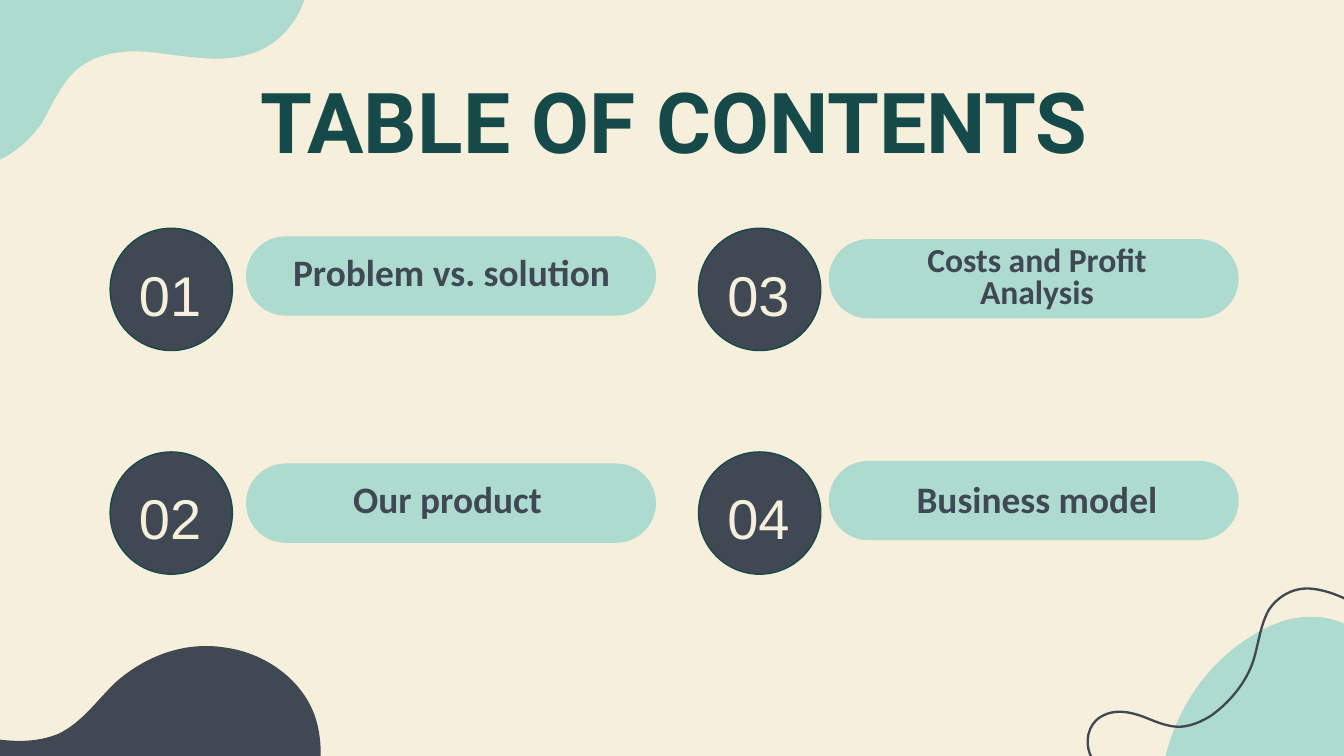
from pptx import Presentation
from pptx.dml.color import RGBColor
from pptx.enum.shapes import MSO_SHAPE
from pptx.enum.text import MSO_ANCHOR, PP_ALIGN
from pptx.oxml.ns import qn
from pptx.util import Pt

ROUNDED = MSO_SHAPE.ROUNDED_RECTANGLE
OVAL = MSO_SHAPE.OVAL
CENTER = PP_ALIGN.CENTER
TOP = MSO_ANCHOR.TOP
MIDDLE = MSO_ANCHOR.MIDDLE

CREAM, MINT, SLATE, TEAL = "F6EFDC", "ADDBD0", "3F4853", "164A4A"
CIRCLE_SIZE = 65.5
PILL_WIDTH, PILL_HEIGHT = 219.6, 42.5

TOP_LEFT_BLOB = [
    (218.9, 51.8), (218.2, 46.1), (216.7, 40.3), (213.8, 36),
    (190.8, 4.3), (146.2, 43.9), (119.5, 19.4), (107.3, 7.9), (103.7, 0), (83.5, 6.5),
    (67, 11.5), (53.3, 25.2), (50.4, 42.5), (49, 51.1), (50.4, 60.5), (49.7, 69.8),
    (49.7, 74.9), (49, 80.6), (46.1, 85), (37.4, 99.4), (17.3, 101.5), (8.6, 115.9),
    (0, 131.8), (13.7, 153.4), (31, 156.2), (49, 159.1), (66.2, 147.6), (76.3, 133.2),
    (82.1, 123.1), (86.4, 112.3), (95, 104.4), (106, 95), (121, 93.6), (135.4, 95),
    (137.5, 95), (139.7, 95.8), (141.8, 95.8), (158.4, 97.9), (175.7, 100.8), (190.8, 95),
    (208.1, 88.6), (220.3, 69.8), (218.9, 51.8),
]
BOTTOM_LEFT_BLOB = [
    (229.7, 75.6), (233.3, 62), (233.3, 48.2), (229, 36),
    (221.8, 16.6), (202.3, 2.9), (181.4, 0), (159.8, -3.6), (139, 4.3), (123.1, 18),
    (113, 27.4), (105.1, 39.6), (92.2, 46), (73.4, 54), (51.1, 48.2), (31.7, 43.2),
    (21.6, 40.3), (10, 38.2), (0, 38.2), (0, 75.6),
]
BOTTOM_RIGHT_BLOB = [
    (104.4, 78.5), (112.3, 68.4), (118, 57.6), (118.8, 47.5),
    (121, 22.3), (105, 0), (80, 0), (79, 0), (78.5, 0), (77.8, 0),
    (66, 0), (55, 5), (45, 11.5), (21.6, 26.6), (5.8, 51), (0, 78.5),
]
WAVY_LINE = [
    (150.5, 13.7), (140.4, 8), (131, 3.2), (120.2, 2.5),
    (111, 2.2), (103, 7.2), (98.5, 14.4), (94, 23), (93.2, 32.4), (90.5, 41),
    (86.8, 52.6), (78, 63.4), (67.9, 70.6), (63.4, 73.4), (58.3, 75.8), (52.6, 76.5),
    (46, 77.2), (38.9, 74.2), (33.1, 71.8), (24.5, 68.4), (14.4, 66.2), (6.5, 72.9),
    (0.5, 78.5), (0.5, 87.8), (4.3, 94), (6.5, 97.9), (10, 101.5), (13, 104.4),
    (17.3, 108.7), (20.9, 113.8), (23, 119.5), (25.2, 127.4), (25.2, 136), (23, 144),
]


def color(hex_string):
    return RGBColor.from_string(hex_string)


def paint(shape, fill=None, line=None, line_width=0.75):
    shape.shadow.inherit = False
    if fill:
        shape.fill.solid()
        shape.fill.fore_color.rgb = color(fill)
    else:
        shape.fill.background()
    if line:
        shape.line.color.rgb = color(line)
        shape.line.width = Pt(line_width)
    else:
        shape.line.fill.background()


def add_text(slide, text, left, top, width, height, *, size, font, hex_color,
             bold=False, anchor=MIDDLE, spacing=None, margin=0):
    frame = slide.shapes.add_textbox(Pt(left), Pt(top), Pt(width), Pt(height)).text_frame
    frame.word_wrap = True
    frame.vertical_anchor = anchor
    frame.margin_left = frame.margin_right = frame.margin_top = frame.margin_bottom = 0
    paragraph = frame.paragraphs[0]
    paragraph.alignment = CENTER
    if spacing:
        paragraph.line_spacing = spacing
    if margin:
        properties = paragraph._p.get_or_add_pPr()
        for side in ("marL", "marR"):
            properties.set(side, str(Pt(margin)))
    run = paragraph.add_run()
    run.text = text
    run.font.size = Pt(size)
    run.font.name = font
    run.font.bold = bold
    run.font.color.rgb = color(hex_color)


def bend_segments(shape):
    segments = list(shape._element.iter(qn("a:lnTo")))
    for index in range(0, len(segments) - 2, 3):
        curve, *others = segments[index:index + 3]
        parent = curve.getparent()
        bezier = parent.makeelement(qn("a:cubicBezTo"))
        parent.replace(curve, bezier)
        bezier.append(curve[0])
        for segment in others:
            bezier.append(segment[0])
            parent.remove(segment)


def add_curve(slide, controls, left, top, closed=True, **style):
    points = [(Pt(left + x), Pt(top + y)) for x, y in controls]
    builder = slide.shapes.build_freeform(*points[0])
    builder.add_line_segments(points[1:], close=False)
    shape = builder.convert_to_shape()
    bend_segments(shape)
    if closed:
        outline = next(shape._element.iter(qn("a:moveTo"))).getparent()
        outline.append(outline.makeelement(qn("a:close")))
    paint(shape, **style)


def add_decoration(slide, width, height):
    add_curve(slide, BOTTOM_RIGHT_BLOB, width - 96.5, height - 74.5, fill=MINT)
    add_curve(slide, BOTTOM_LEFT_BLOB, -60.5, height - 58, fill=SLATE)
    add_curve(slide, TOP_LEFT_BLOB, -54, -67, fill=MINT)
    add_curve(slide, WAVY_LINE, width - 139, height - 92.2, closed=False,
              line=SLATE, line_width=1.25)


def add_entry(slide, left, top, number, label, *, pill_left, pill_top,
              label_left, label_top, size=20, margin=0):
    pill = slide.shapes.add_shape(ROUNDED, Pt(left + pill_left), Pt(top + pill_top),
                                  Pt(PILL_WIDTH), Pt(PILL_HEIGHT))
    pill.adjustments[0] = 0.5
    paint(pill, fill=MINT)
    circle = slide.shapes.add_shape(OVAL, Pt(left), Pt(top), Pt(CIRCLE_SIZE), Pt(CIRCLE_SIZE))
    paint(circle, fill=SLATE, line=TEAL)
    add_text(slide, label, left + label_left, top + label_top, 216, PILL_HEIGHT,
             size=size, font="Calibri", hex_color=SLATE, bold=True, spacing=0.8, margin=margin)
    add_text(slide, number, left + 5.5, top + 7.5, 53.3, 55.4,
             size=30, font="Arial", hex_color=CREAM)


def add_entries(slide, left, top):
    right, bottom = left + 315.2, top + 119.8
    add_entry(slide, left, top, "01", "Problem vs. solution",
              pill_left=72.8, pill_top=4.3, label_left=75, label_top=4.3)
    add_entry(slide, left, bottom, "02", "Our product",
              pill_left=72.8, pill_top=6.2, label_left=72.8, label_top=6.2)
    add_entry(slide, right, top, "03", "Costs and Profit Analysis", size=18, margin=36,
              pill_left=69.8, pill_top=5.8, label_left=73.4, label_top=5.8)
    add_entry(slide, right, bottom, "04", "Business model", margin=36,
              pill_left=69.8, pill_top=4.8, label_left=73.4, label_top=6.2)


def main():
    presentation = Presentation()
    presentation.slide_width, presentation.slide_height = Pt(720), Pt(405)
    slide = presentation.slides.add_slide(presentation.slide_layouts[6])
    slide.background.fill.solid()
    slide.background.fill.fore_color.rgb = color(CREAM)
    add_decoration(slide, 720, 405)
    add_text(slide, "TABLE OF CONTENTS", 58.3, 37, 605.5, 51.8,
             size=45, font="Roboto", hex_color=TEAL, bold=True, anchor=TOP)
    add_entries(slide, 59, 122.3)
    presentation.save("out.pptx")


if __name__ == "__main__":
    main()
